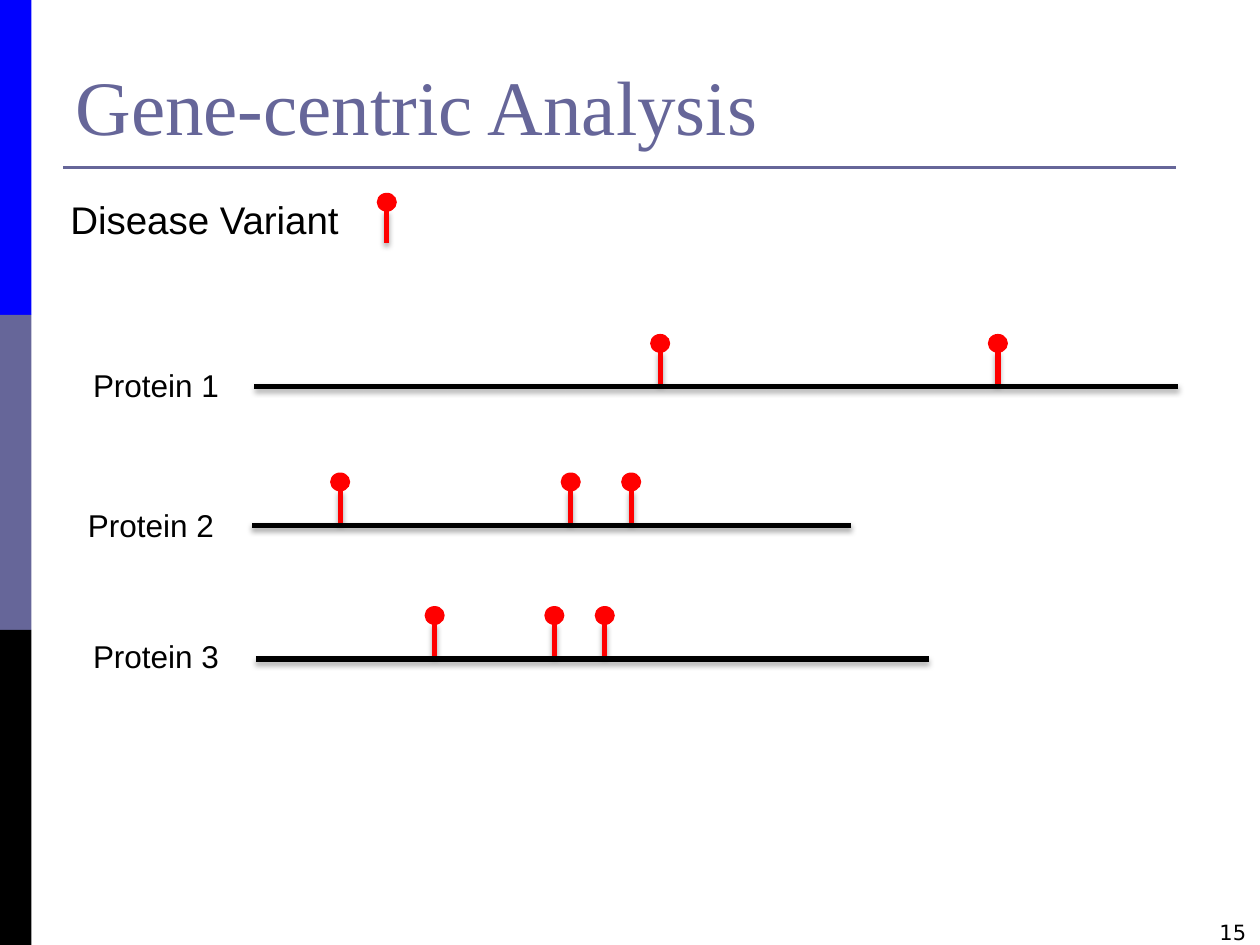
import pptx
import pptx.util
import pptx.dml.color
import pptx.enum.shapes
import pptx.enum.text
import pptx.oxml
import pptx.oxml.ns

Inches = pptx.util.Inches
Shapes = pptx.enum.shapes.MSO_SHAPE
SHADOW = (
    f'<a:effectLst {pptx.oxml.ns.nsdecls("a")}>'
    '<a:outerShdw blurRad="39370" dist="22860" dir="5400000" rotWithShape="0">'
    '<a:srgbClr val="000000"><a:alpha val="35000"/></a:srgbClr>'
    '</a:outerShdw></a:effectLst>'
)
EMPTY_EFFECTS = f'<a:effectLst {pptx.oxml.ns.nsdecls("a")}/>'


def color(value):
    return pptx.dml.color.RGBColor.from_string(value)


def add_line(start, end, line_color, width, effects=SHADOW):
    points = [Inches(value) for value in (*start, *end)]
    line = page.shapes.add_connector(pptx.enum.shapes.MSO_CONNECTOR.STRAIGHT, *points)
    line.line.color.rgb = color(line_color)
    line.line.width = pptx.util.Pt(width)
    line._element.spPr.append(pptx.oxml.parse_xml(effects))


deck = pptx.Presentation()
deck.slide_width, deck.slide_height = Inches(10), Inches(7.5)
page = deck.slides.add_slide(deck.slide_layouts[5])

# Side bands and the rule under the title
blocks = [
    (Shapes.RECTANGLE, 0, 2.5 * index, 0.25, 2.5, fill)
    for index, fill in enumerate(["0000FF", "666699", "000000"])
]
add_line((0.5, 1.33), (9.33, 1.33), "666699", 1.5, EMPTY_EFFECTS)

# Proteins: label position, line start, line end, line height, variant positions
proteins = [
    ("Protein 1", 0.64, 2.86, 2.02, 9.35, 3.07, [5.24, 7.92]),
    ("Protein 2", 0.6, 3.97, 2, 6.75, 4.17, [2.7, 4.53, 5.01]),
    ("Protein 3", 0.64, 5.01, 2.03, 7.37, 5.23, [3.45, 4.4, 4.8]),
]
labels = [
    ("Disease Variant", 0.46, 1.51, 2.85, 0.47, 22, "Arial"),
    ("15", 9.58, 7.25, 0.58, 0.5, 12, "DejaVu Sans"),
]
pins = [(3.07, 1.93)]
for name, left, top, start, end, height, variants in proteins:
    add_line((start, height), (end, height), "000000", 3)
    labels.append((name, left, top, 1.5, 0.4, 18, "Arial"))
    pins += [(x, height - 0.02) for x in variants]

# Variant pins: a stem with a round head
for x, foot in pins:
    add_line((x, foot - 0.26), (x, foot), "FF0000", 3)
    blocks.append((Shapes.OVAL, x - 0.08, foot - 0.4, 0.16, 0.15, "FF0000"))

# Filled bands and pin heads
for kind, left, top, width, height, fill in blocks:
    shape = page.shapes.add_shape(
        kind, Inches(left), Inches(top), Inches(width), Inches(height))
    shape.shadow.inherit = False
    shape.fill.solid()
    shape.fill.fore_color.rgb = color(fill)
    shape.line.fill.background()

# Title and labels
title = page.shapes.title
title.left, title.top, title.width, title.height = map(Inches, (0.5, 0, 9, 1.25))
texts = [(title, "Gene-centric Analysis", 44, "Times New Roman", "666699", "BOTTOM")]
for text, left, top, width, height, size, font in labels:
    box = page.shapes.add_textbox(
        Inches(left), Inches(top), Inches(width), Inches(height))
    texts.append((box, text, size, font, "000000", "TOP"))

for box, text, size, font, text_color, anchor in texts:
    frame = box.text_frame
    frame.word_wrap = True
    frame.vertical_anchor = pptx.enum.text.MSO_ANCHOR[anchor]
    para = frame.paragraphs[0]
    para.alignment = pptx.enum.text.PP_ALIGN.LEFT
    span = para.add_run()
    span.text = text
    for key, value in {"name": font, "size": pptx.util.Pt(size)}.items():
        setattr(span.font, key, value)
    span.font.color.rgb = color(text_color)

deck.save("out.pptx")
